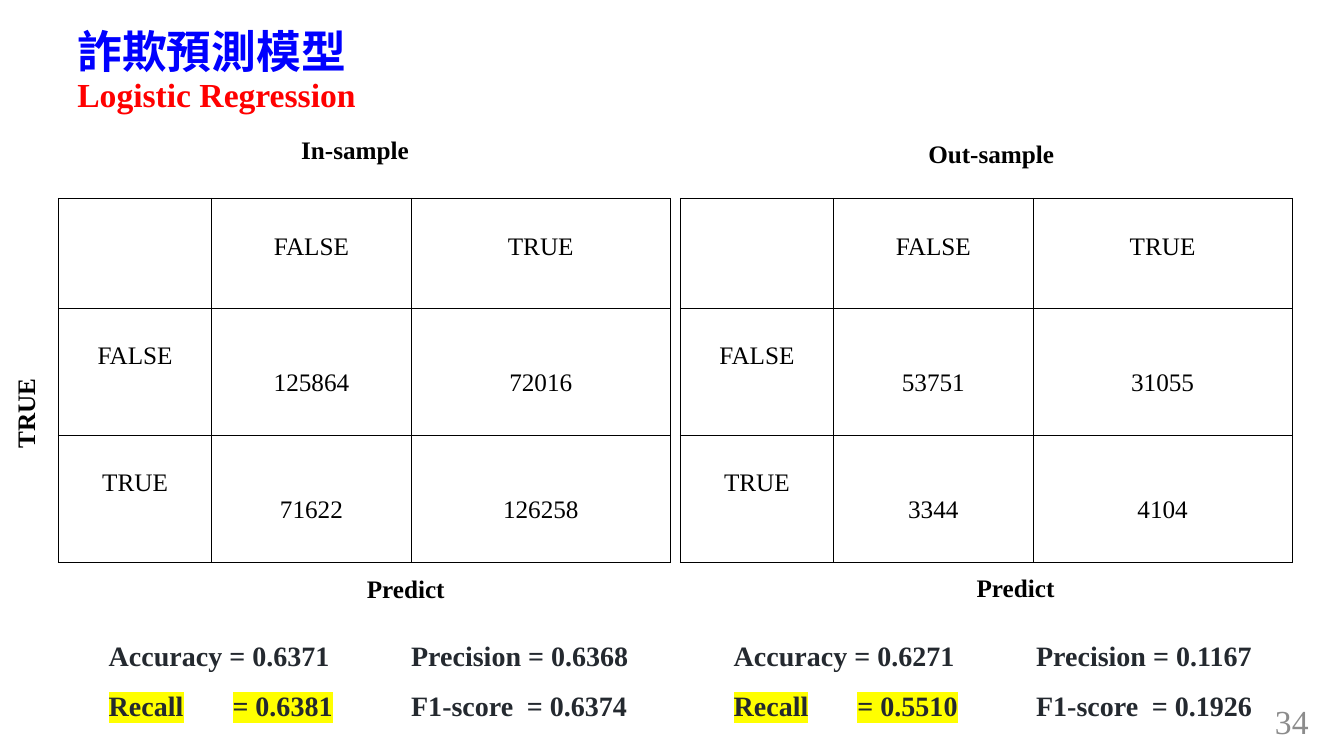
from lxml import etree
from pptx import Presentation
from pptx.dml.color import RGBColor
from pptx.enum.text import MSO_ANCHOR, PP_ALIGN
from pptx.oxml.ns import qn
from pptx.util import Pt

LEFT, CENTER, RIGHT, JUSTIFY = PP_ALIGN.LEFT, PP_ALIGN.CENTER, PP_ALIGN.RIGHT, PP_ALIGN.JUSTIFY
TOP, MIDDLE = MSO_ANCHOR.TOP, MSO_ANCHOR.MIDDLE

FONT = "Times New Roman"
COLORS = {
    "title": "0000FF",
    "subtitle": "FF0000",
    "text": "000000",
    "metric": "24292F",
    "highlight": "FFFF00",
    "page": "8C8C8C",
}

TITLE = "詐欺預測模型"
SUBTITLE = "Logistic Regression"
PAGE_NUMBER = "34"
TRUE_AXIS = "TRUE"
PREDICT_AXIS = "Predict"
CLASSES = ["FALSE", "TRUE"]
SAMPLES = [
    {
        "name": "In-sample",
        "name_box": (208, 92.2, 92.2, 28.8),
        "predict_at": (254.9, 406),
        "matrix_left": 41.8,
        "metrics_left": 70.6,
        "counts": [[125864, 72016], [71622, 126258]],
        "accuracy": "0.6371", "precision": "0.6368",
        "recall": "0.6381", "f1": "0.6374",
    },
    {
        "name": "Out-sample",
        "name_box": (656, 95, 105, 28.8),
        "predict_at": (690.5, 405.4),
        "matrix_left": 486,
        "metrics_left": 517,
        "counts": [[53751, 31055], [3344, 4104]],
        "accuracy": "0.6271", "precision": "0.1167",
        "recall": "0.5510", "f1": "0.1926",
    },
]

MATRIX_TOP = 141.8
COLUMN_WIDTHS = [109.4, 142.6, 185]
ROW_HEIGHTS = [78.5, 90.7, 90.7]
HEADER_INSET = 24.3
METRIC_TABS = [88.4, 216, 298.7]


def style_run(run, size, color, bold=True):
    run.font.size = Pt(size)
    run.font.bold = bold
    run.font.color.rgb = RGBColor.from_string(COLORS[color])
    run.font.name = FONT


def highlight(run):
    mark = etree.Element(qn("a:highlight"))
    etree.SubElement(mark, qn("a:srgbClr"), val=COLORS["highlight"])
    run.font.fill
    run._r.rPr.find(qn("a:solidFill")).addnext(mark)


def add_tabs(paragraph):
    tabs = etree.SubElement(paragraph._p.get_or_add_pPr(), qn("a:tabLst"))
    for position in METRIC_TABS:
        etree.SubElement(tabs, qn("a:tab"), pos=str(int(Pt(position))), algn="l")


def add_text(slide, box, lines, align=LEFT, anchor=TOP, wrap=False, spacing=None):
    frame = slide.shapes.add_textbox(*map(Pt, box)).text_frame
    frame.word_wrap = wrap
    frame.vertical_anchor = anchor
    for index, runs in enumerate(lines):
        paragraph = frame.add_paragraph() if index else frame.paragraphs[0]
        paragraph.alignment = align
        if spacing:
            paragraph.line_spacing = spacing
        for text, size, color, bold in runs:
            run = paragraph.add_run()
            run.text = text
            style_run(run, size, color, bold)
    return frame


def add_label(slide, box, text):
    return add_text(slide, box, [[(text, 18, "text", True)]])


def outline(cell):
    properties = cell._tc.get_or_add_tcPr()
    for side in ("lnL", "lnR", "lnT", "lnB"):
        line = etree.SubElement(properties, qn("a:" + side), w=str(int(Pt(1))))
        fill = etree.SubElement(line, qn("a:solidFill"))
        etree.SubElement(fill, qn("a:srgbClr"), val=COLORS["text"])
    cell.fill.background()


def add_matrix(slide, left, counts):
    rows = [["", *CLASSES]]
    rows += [[name, *values] for name, values in zip(CLASSES, counts)]
    matrix = slide.shapes.add_table(
        len(rows), len(rows[0]), Pt(left), Pt(MATRIX_TOP),
        Pt(sum(COLUMN_WIDTHS)), Pt(sum(ROW_HEIGHTS))).table
    matrix.first_row = matrix.horz_banding = False
    for column, width in zip(matrix.columns, COLUMN_WIDTHS):
        column.width = Pt(width)
    for row, height in zip(matrix.rows, ROW_HEIGHTS):
        row.height = Pt(height)
    for r, values in enumerate(rows):
        for c, value in enumerate(values):
            cell = matrix.cell(r, c)
            outline(cell)
            paragraph = cell.text_frame.paragraphs[0]
            paragraph.text = str(value)
            paragraph.alignment = CENTER
            if r and c:
                paragraph.line_spacing = 3.0
            else:
                cell.margin_top = Pt(HEADER_INSET)
            for run in paragraph.runs:
                style_run(run, 18, "text", False)


def add_metrics(slide, sample):
    def metric(text):
        return (text, 20, "metric", True)

    box = (sample["metrics_left"], 440.6, 417.6, 75.6)
    frame = add_text(slide, box, [
        [metric(f"Accuracy = {sample['accuracy']}\tPrecision = {sample['precision']}")],
        [metric(f"Recall\t= {sample['recall']}"), metric(f"\tF1-score\t= {sample['f1']}")],
    ], JUSTIFY, wrap=True, spacing=1.5)
    scores, recall_line = frame.paragraphs
    recall_line.alignment = LEFT
    for paragraph in (scores, recall_line):
        add_tabs(paragraph)
    scores_tabs = scores._p.pPr.find(qn("a:tabLst"))
    scores_tabs.remove(scores_tabs[0])
    highlight(recall_line.runs[0])


def main():
    deck = Presentation()
    deck.slide_width, deck.slide_height = Pt(960), Pt(540)
    slide = deck.slides.add_slide(deck.slide_layouts[6])

    add_text(slide, (48.2, 25.2, 828, 53.3),
             [[(TITLE, 32, "title", True)], [(SUBTITLE, 24, "subtitle", True)]],
             anchor=MIDDLE, wrap=True, spacing=0.9)
    for sample in SAMPLES:
        add_label(slide, sample["name_box"], sample["name"])
        add_matrix(slide, sample["matrix_left"], sample["counts"])
        add_label(slide, (*sample["predict_at"], 70.6, 28.8), PREDICT_AXIS)
        add_metrics(slide, sample)

    axis = add_label(slide, (3.6, 270, 36, 57.6), TRUE_AXIS)
    axis._txBody.bodyPr.set("vert", "vert270")
    add_text(slide, (725.8, 500.4, 216, 28.8),
             [[(PAGE_NUMBER, 24, "page", False)]], RIGHT, MIDDLE, wrap=True)
    deck.save("out.pptx")


if __name__ == "__main__":
    main()
